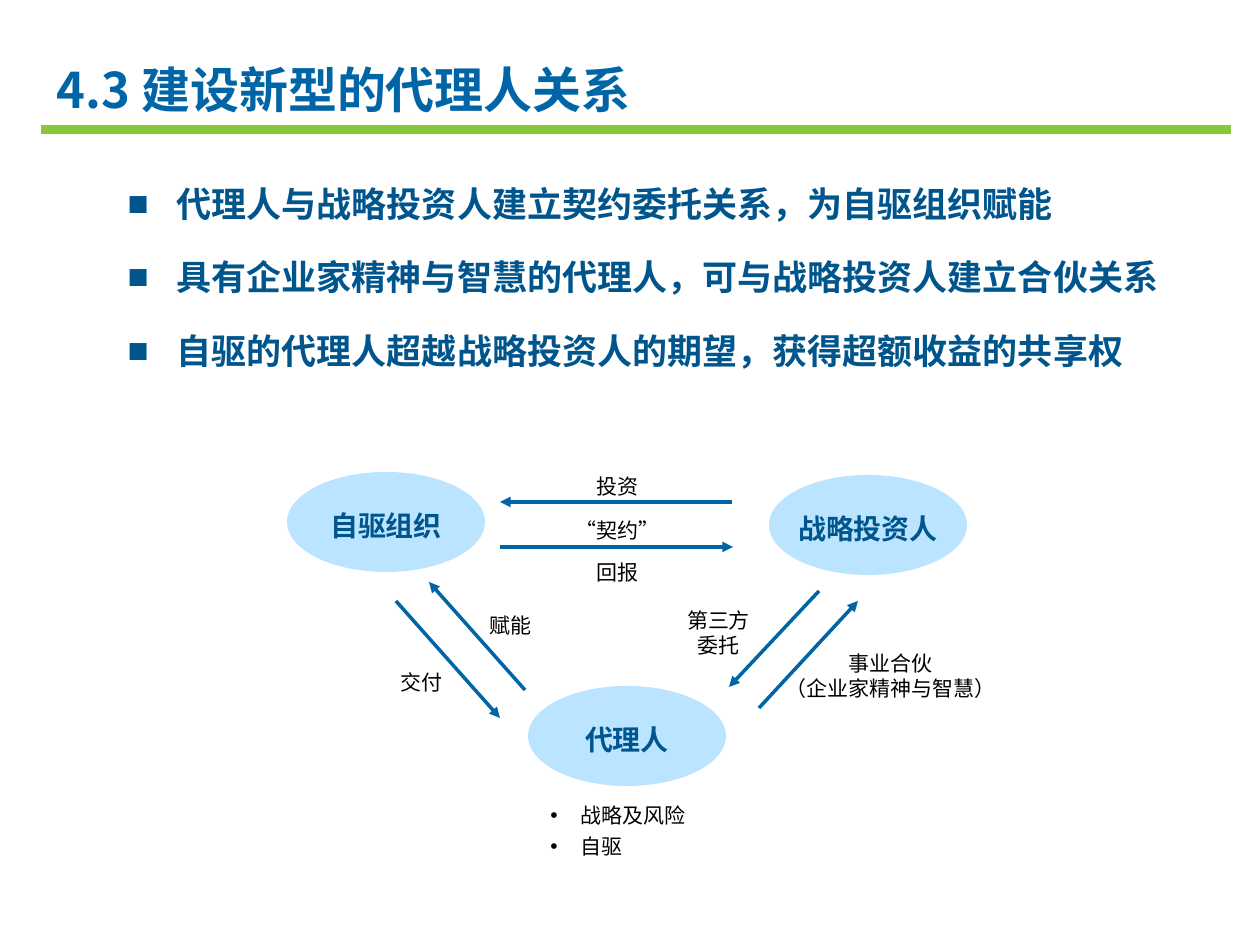
"""Build the slide on the new agent relationship."""
from lxml.etree import SubElement
from pptx import Presentation
from pptx.dml.color import RGBColor
from pptx.enum.shapes import MSO_CONNECTOR, MSO_SHAPE
from pptx.enum.text import MSO_ANCHOR, MSO_AUTO_SIZE, PP_ALIGN
from pptx.oxml.ns import qn
from pptx.util import Inches, Pt

PIXEL = Inches(1) / 126
FONT = "Noto Sans CJK SC"
BLUE = RGBColor(0x00, 0x65, 0xA6)
DARK_BLUE = RGBColor(0x00, 0x55, 0x8D)
PALE_BLUE = RGBColor(0xBA, 0xE4, 0xFF)
GREEN = RGBColor(0x88, 0xC6, 0x3A)
BLACK = RGBColor(0x00, 0x00, 0x00)

POINTS = [
    "代理人与战略投资人建立契约委托关系，为自驱组织赋能",
    "具有企业家精神与智慧的代理人，可与战略投资人建立合伙关系",
    "自驱的代理人超越战略投资人的期望，获得超额收益的共享权",
]
PARTIES = [
    ("自驱组织", 287, 472, 5),
    ("战略投资人", 769, 475, 0),
    ("代理人", 528, 686, 5),
]
ARROWS = [
    (732, 502, 500, 502),
    (500, 547, 733, 547),
    (525, 690, 429, 582),
    (396, 601, 500, 718),
    (819, 591, 729, 687),
    (759, 708, 858, 601),
]
SHORT_LABELS = [
    ("投资", 559, 452),
    ("“契约”", 559, 496),
    ("回报", 559, 538),
    ("赋能", 452, 591),
    ("交付", 363, 648),
]
LONG_LABELS = [
    (["第三方", "委托"], 660, 601, 117),
    (["事业合伙", "（企业家精神与智慧）"], 765, 644, 252),
]


def px(*lengths):
    """Turn pixel lengths into a list of EMU lengths."""
    return [round(length * PIXEL) for length in lengths]


def place(shape, left, top, width, height):
    """Move and size a shape in pixels."""
    shape.left, shape.top, shape.width, shape.height = px(left, top, width, height)


def write(shape, lines, size=12, color=BLACK, bold=False, align=PP_ALIGN.LEFT,
          anchor=MSO_ANCHOR.TOP, spacing=1.0, after=0, indent=0, bullet=None,
          fit=MSO_AUTO_SIZE.NONE):
    """Fill a shape with one formatted paragraph per line."""
    frame = shape.text_frame
    frame.text = "\n".join(lines)
    frame.word_wrap = True
    frame.auto_size = fit
    frame.vertical_anchor = anchor
    for para in frame.paragraphs:
        para.alignment = align
        para.line_spacing = spacing
        para.space_before = Pt(0)
        para.space_after = Pt(after)
        properties = para._p.get_or_add_pPr()
        hang, = px(indent)
        properties.set("marL", str(hang))
        properties.set("indent", str(-hang))
        if bullet:
            SubElement(properties, qn("a:buFont"), typeface="Arial")
            SubElement(properties, qn("a:buChar"), char=bullet)
        for span in para.runs:
            span.font.size = Pt(size)
            span.font.bold = bold
            span.font.color.rgb = color
            span.font.name = FONT
            SubElement(span._r.get_or_add_rPr(), qn("a:ea"), typeface=FONT)


def add_text(page, lines, left, top, width, height, **style):
    """Add a text box that grows with its text."""
    box = page.shapes.add_textbox(*px(left, top, width, height))
    write(box, lines, fit=MSO_AUTO_SIZE.SHAPE_TO_FIT_TEXT, **style)


def add_filled(page, kind, left, top, width, height, color):
    """Add a flat shape without an outline."""
    shape = page.shapes.add_shape(kind, *px(left, top, width, height))
    shape.shadow.inherit = False
    shape.fill.solid()
    shape.fill.fore_color.rgb = color
    shape.line.fill.background()
    return shape


def add_party(page, name, left, top, side):
    """Add an ellipse that names one party."""
    party = add_filled(page, MSO_SHAPE.OVAL, left, top, 198, 100, PALE_BLUE)
    frame = party.text_frame
    frame.margin_left, frame.margin_right = px(side, side)
    frame.margin_top, frame.margin_bottom = px(5, 5)
    write(party, [name], size=16, color=DARK_BLUE, bold=True, spacing=1.2,
          align=PP_ALIGN.CENTER, anchor=MSO_ANCHOR.MIDDLE)


def add_arrow(page, *ends):
    """Add a straight arrow between two points."""
    arrow = page.shapes.add_connector(MSO_CONNECTOR.STRAIGHT, *px(*ends))
    arrow.line.color.rgb = BLUE
    arrow.line.width = Pt(2)
    SubElement(arrow.line._get_or_add_ln(), qn("a:tailEnd"), type="triangle")
    SubElement(arrow._element.spPr, qn("a:effectLst"))


def main():
    """Build and save the deck."""
    deck = Presentation()
    deck.slide_width, deck.slide_height = Inches(10), Inches(7.5)
    page = deck.slides.add_slide(deck.slide_layouts[1])
    add_filled(page, MSO_SHAPE.RECTANGLE, 41, 125, 1190, 9, GREEN)

    title, body = page.placeholders
    place(title, 44, 48, 1191, 67)
    write(title, ["4.3 建设新型的代理人关系"], size=28, color=BLUE, bold=True,
          anchor=MSO_ANCHOR.MIDDLE, spacing=1.25, indent=39)
    place(body, 115, 155, 1062, 224)
    write(body, POINTS, size=20, color=DARK_BLUE, bold=True, spacing=1.5,
          after=6, indent=49, bullet="■")

    for party in PARTIES:
        add_party(page, *party)
    for ends in ARROWS:
        add_arrow(page, *ends)
    for label, left, top in SHORT_LABELS:
        add_text(page, [label], left, top, 117, 53,
                 align=PP_ALIGN.CENTER, spacing=Pt(23))
    for lines, left, top, width in LONG_LABELS:
        add_text(page, lines, left, top, width, 63, align=PP_ALIGN.CENTER)
    add_text(page, ["战略及风险", "自驱"], 538, 790, 195, 77,
             spacing=1.25, indent=30, bullet="•")
    deck.save("out.pptx")


main()
